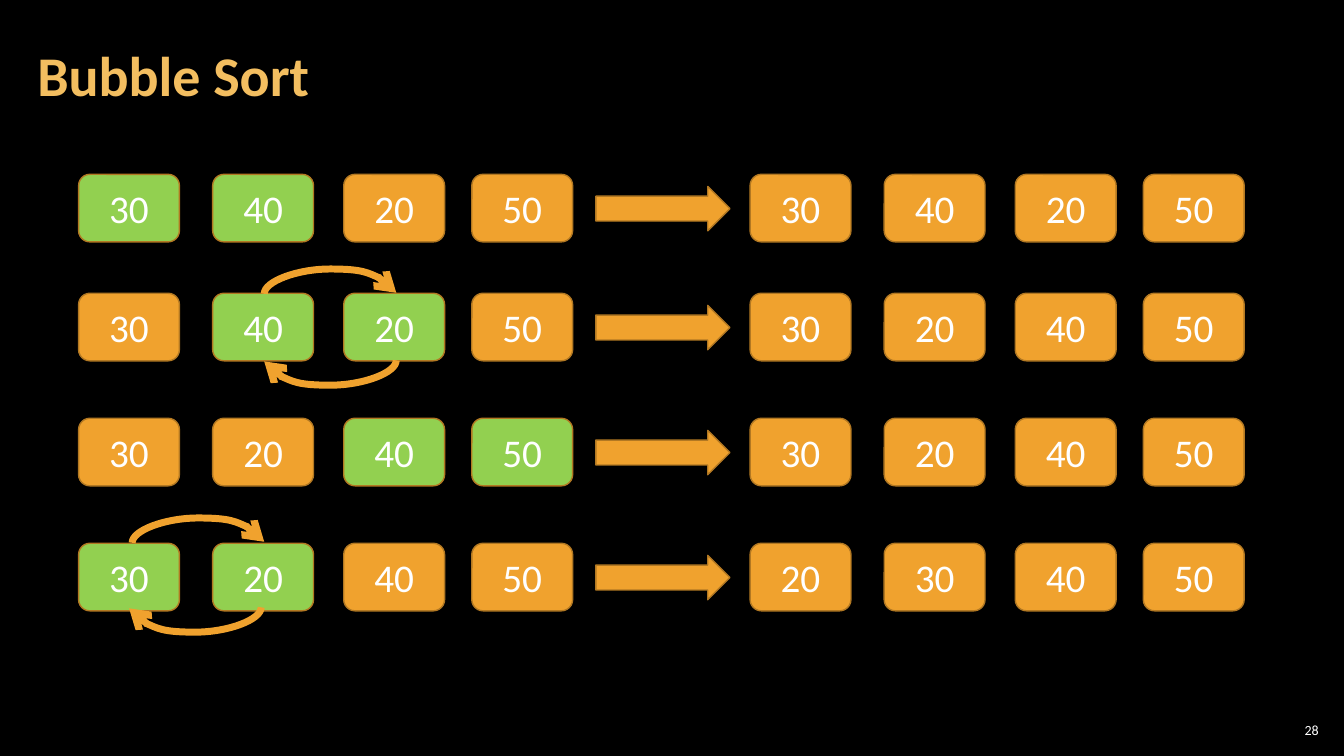
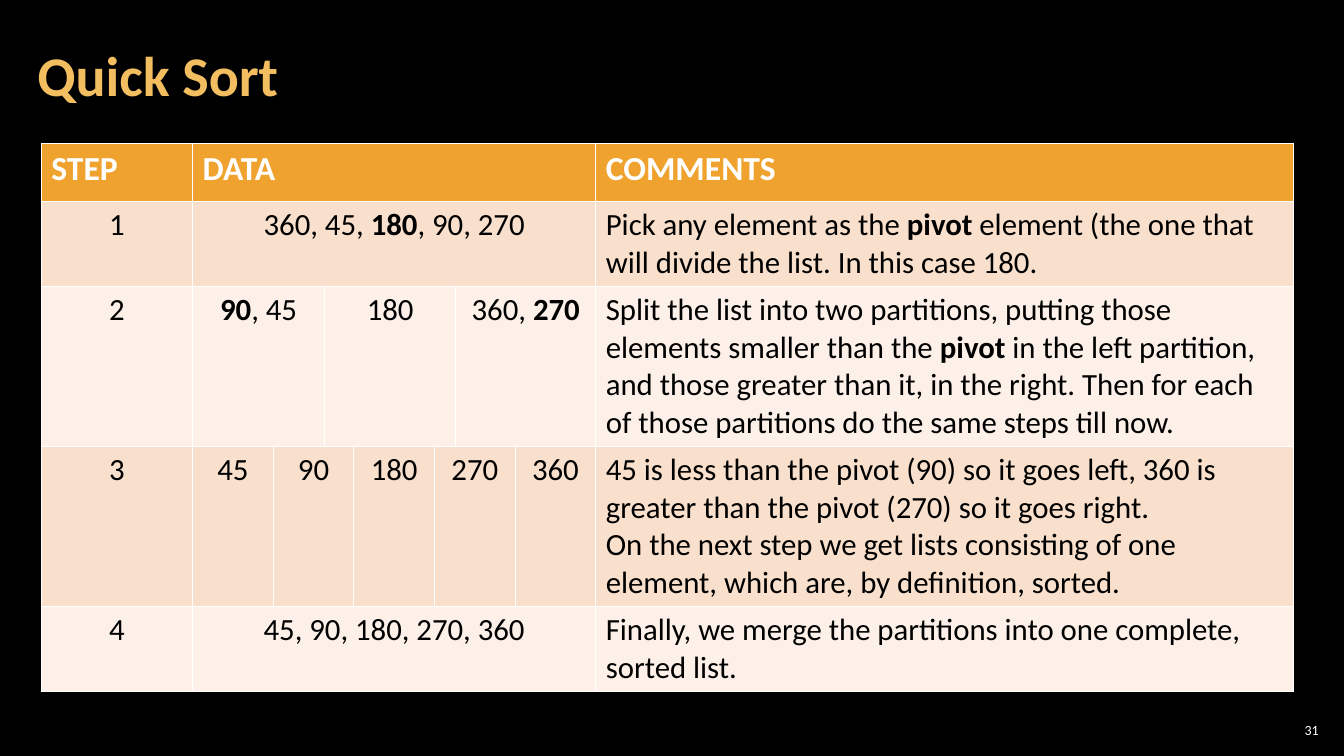
"""Builds two slides on sorting: the passes of bubble sort and the steps of quick sort."""
from lxml import etree
from pptx import Presentation
from pptx.dml.color import RGBColor
from pptx.enum.shapes import MSO_CONNECTOR, MSO_SHAPE
from pptx.enum.text import MSO_ANCHOR, MSO_AUTO_SIZE, PP_ALIGN
from pptx.oxml.ns import qn
from pptx.util import Inches, Pt

LEFT, CENTER, RIGHT = PP_ALIGN.LEFT, PP_ALIGN.CENTER, PP_ALIGN.RIGHT
MIDDLE = MSO_ANCHOR.MIDDLE
NO_AUTOFIT = MSO_AUTO_SIZE.NONE
ROUNDED, ARROW = MSO_SHAPE.ROUNDED_RECTANGLE, MSO_SHAPE.RIGHT_ARROW
CURVE = MSO_CONNECTOR.CURVE

BLACK = RGBColor(0x00, 0x00, 0x00)
WHITE = RGBColor(0xFF, 0xFF, 0xFF)
GOLD = RGBColor(0xF3, 0xBE, 0x60)
ORANGE = RGBColor(0xF0, 0xA2, 0x2E)
BROWN = RGBColor(0xB2, 0x78, 0x22)
GREEN = RGBColor(0x92, 0xD0, 0x50)
BANDS = (RGBColor(0xF9, 0xE0, 0xCD), RGBColor(0xFC, 0xF0, 0xE8))
FONT = "Calibri"

PASSES = [
    {"before": (30, 40, 20, 50), "compared": 0, "after": (30, 40, 20, 50)},
    {"before": (30, 40, 20, 50), "compared": 1, "after": (30, 20, 40, 50)},
    {"before": (30, 20, 40, 50), "compared": 2, "after": (30, 20, 40, 50)},
    {"before": (30, 20, 40, 50), "compared": 0, "after": (20, 30, 40, 50)},
]
PASS_TOPS = (1.73, 2.91, 4.15, 5.39)
BOX_LEFTS = (0.78, 2.11, 3.41, 4.68)
BOX_SIZE = (1, 0.67)
AFTER_SHIFT = 6.66
SWAPS = [(2.62, 2.91, True), (2.62, 3.58, False), (1.31, 5.38, True), (1.28, 6.03, False)]
SWAP_SPAN, SWAP_RISE, SWAP_SLANT = 1.31, 0.25, 0.01

COLUMN_WIDTHS = (1.5, 0.8, 0.51, 0.29, 0.8, 0.21, 0.59, 0.8, 6.92)
ROW_HEIGHTS = (0.58, 0.84, 1.57, 1.57, 0.84)
LAST_COLUMN = len(COLUMN_WIDTHS) - 1
HEADINGS = ("STEP", ["DATA"], ["COMMENTS"])
STEPS = [
    (["360, 45, *180*, 90, 270"], (7,),
     ["Pick any element as the *pivot* element (the one that will divide the list. In this case 180."]),
    (["*90*, 45", "180", "360, *270*"], (2, 3, 2),
     ["Split the list into two partitions, putting those elements smaller than the *pivot *in the left "
      "partition, and those greater than it, in the right. Then for each of those partitions do the same "
      "steps till now."]),
    (["45", "90", "180", "270", "360"], (1, 2, 1, 2, 1),
     ["45 is less than the pivot (90) so it goes left, 360 is greater than the pivot (270) so it goes right.",
      "On the next step we get lists consisting of one element, which are, by definition, sorted."]),
    (["45, 90, 180, 270, 360"], (7,),
     ["Finally, we merge the partitions into one complete, sorted list."]),
]


def write(frame, *lines, size, color, bold=False, align=LEFT, spacing=None):
    """Fill a text frame; parts between asterisks are bold."""
    for index, line in enumerate(lines):
        para = frame.add_paragraph() if index else frame.paragraphs[0]
        para.alignment = align
        if spacing:
            para.line_spacing = spacing
        for part, text in enumerate(line.split("*")):
            if text:
                span = para.add_run()
                span.text = text
                span.font.name, span.font.size = FONT, Pt(size)
                span.font.bold = bold or part % 2 == 1
                span.font.color.rgb = color


def set_margins(frame, sides, ends):
    """Set the insets of a text frame in inches."""
    frame.margin_left = frame.margin_right = Inches(sides)
    frame.margin_top = frame.margin_bottom = Inches(ends)


def add_page(deck, title, number):
    """Add a slide with its title and page number."""
    page = deck.slides.add_slide(deck.slide_layouts[5])
    heading = page.shapes.title
    heading.left, heading.top, heading.width, heading.height = map(Inches, (0.25, 0.17, 10.47, 1.21))
    footer = page.shapes.add_textbox(*map(Inches, (12.65, 7.14, 0.47, 0.21)))
    for box, sides in ((heading, 0.12), (footer, 0.04)):
        frame = box.text_frame
        frame.word_wrap, frame.auto_size, frame.vertical_anchor = True, NO_AUTOFIT, MIDDLE
        set_margins(frame, sides, 0.04)
    write(heading.text_frame, title, size=40, color=GOLD, bold=True, spacing=0.9)
    write(footer.text_frame, str(number), size=10, color=WHITE, align=RIGHT)
    return page


def add_block(page, kind, place, fill):
    """Add an outlined shape."""
    block = page.shapes.add_shape(kind, *map(Inches, place))
    block.shadow.inherit = False
    block.fill.solid()
    block.fill.fore_color.rgb = fill
    block.line.color.rgb, block.line.width = BROWN, Pt(1)
    return block


def add_numbers(page, numbers, shift, top, compared=()):
    """Add a row of number boxes, the compared ones in green."""
    for index, (number, left) in enumerate(zip(numbers, BOX_LEFTS)):
        fill = GREEN if index in compared else ORANGE
        box = add_block(page, ROUNDED, (left + shift, top, *BOX_SIZE), fill)
        box.text_frame.vertical_anchor = MIDDLE
        write(box.text_frame, str(number), size=28, color=WHITE, align=CENTER)


def add_swap(page, left, level, over):
    """Add a curved arrow, rightwards over the boxes or leftwards under them."""
    middle = left + SWAP_SPAN / 2
    sign = 1 if over else -1
    across, along = sign * SWAP_SLANT / 2, sign * SWAP_SPAN / 2
    ends = (middle + across, level + along, middle - across, level - along)
    swap = page.shapes.add_connector(CURVE, *map(Inches, ends))
    swap.line.color.rgb, swap.line.width = ORANGE, Pt(5)
    properties = swap._element.spPr
    properties.find(qn("a:xfrm")).set("rot", str(90 * 60000))
    guides = properties.find(qn("a:prstGeom")).get_or_add_avLst()
    bend = round(SWAP_RISE / SWAP_SLANT * 100000)
    etree.SubElement(guides, qn("a:gd"), name="adj1", fmla=f"val {bend}")
    etree.SubElement(properties.find(qn("a:ln")), qn("a:tailEnd"), type="arrow")
    etree.SubElement(properties, qn("a:effectLst"))


def add_bubble_sort(deck):
    """Build the slide of passes."""
    page = add_page(deck, "Bubble Sort", 28)
    for top, step in zip(PASS_TOPS, PASSES):
        first = step["compared"]
        add_numbers(page, step["before"], 0, top, (first, first + 1))
        add_numbers(page, step["after"], AFTER_SHIFT, top)
        arrow = add_block(page, ARROW, (5.91, top + 0.12, 1.33, 0.44), ORANGE)
        arrow.adjustments[0], arrow.adjustments[1] = 0.56, 0.5
    for swap in SWAPS:
        add_swap(page, *swap)


def fill_row(table, row, step, data, spans, comments, fill, data_align, **style):
    """Fill one table row, merging the data columns by the given spans."""
    for column in range(LAST_COLUMN + 1):
        cell = table.cell(row, column)
        cell.fill.solid()
        cell.fill.fore_color.rgb = fill
    write(table.cell(row, 0).text_frame, step, align=data_align, **style)
    column = 1
    for text, span in zip(data, spans):
        cell = table.cell(row, column)
        if span > 1:
            cell.merge(table.cell(row, column + span - 1))
        write(cell.text_frame, text, align=data_align, **style)
        column += span
    write(table.cell(row, LAST_COLUMN).text_frame, *comments, **style)


def add_quick_sort(deck):
    """Build the slide with the table of steps."""
    page = add_page(deck, "Quick Sort", 31)
    place = (0.41, 1.42, sum(COLUMN_WIDTHS), sum(ROW_HEIGHTS))
    table = page.shapes.add_table(len(ROW_HEIGHTS), len(COLUMN_WIDTHS), *map(Inches, place)).table
    for column, width in zip(table.columns, COLUMN_WIDTHS):
        column.width = Inches(width)
    for row, height in zip(table.rows, ROW_HEIGHTS):
        row.height = Inches(height)
    step, data, comments = HEADINGS
    fill_row(table, 0, step, data, (7,), comments, ORANGE, LEFT, size=24, color=WHITE, bold=True)
    for number, (data, spans, comments) in enumerate(STEPS, 1):
        fill = BANDS[(number - 1) % 2]
        fill_row(table, number, str(number), data, spans, comments, fill, CENTER, size=22, color=BLACK)


def main():
    """Build and save the deck."""
    deck = Presentation()
    deck.slide_width, deck.slide_height = Inches(13.33), Inches(7.5)
    backdrop = deck.slide_master.background.fill
    backdrop.solid()
    backdrop.fore_color.rgb = BLACK
    add_bubble_sort(deck)
    add_quick_sort(deck)
    deck.save("out.pptx")


if __name__ == "__main__":
    main()
